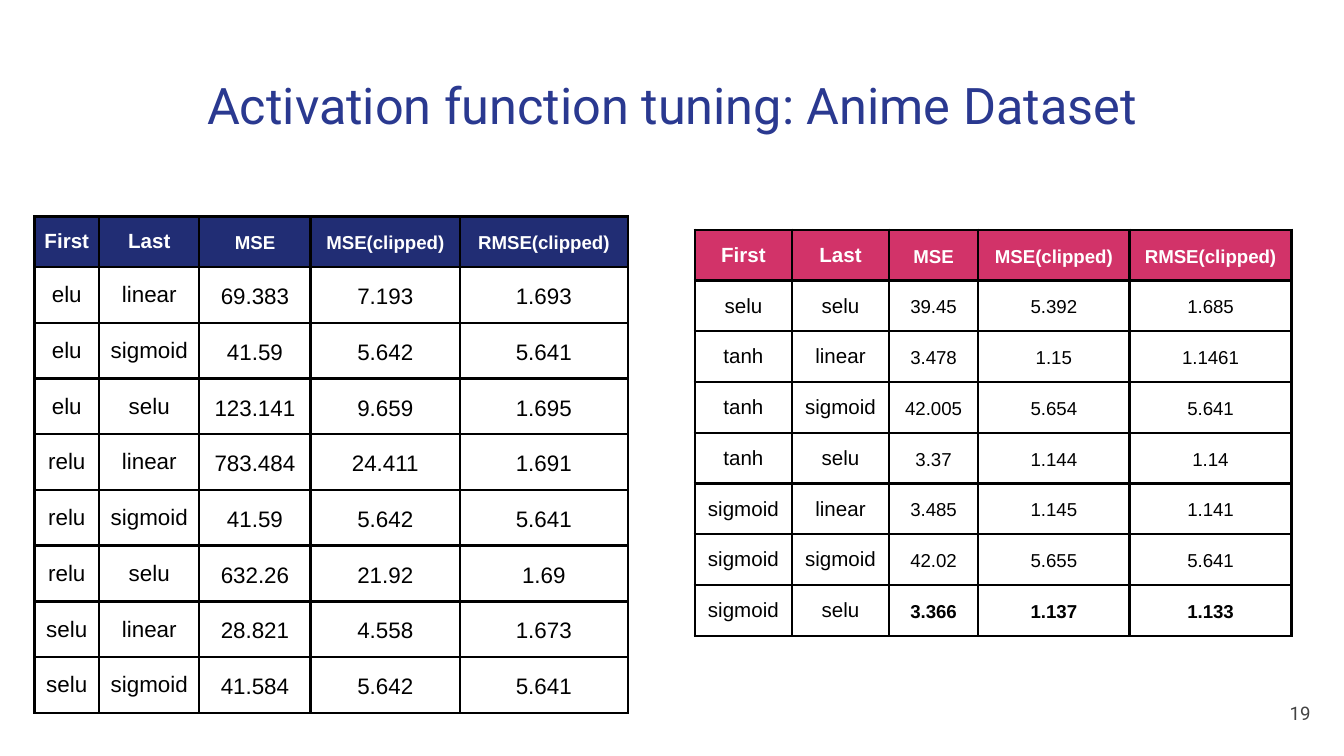
import pptx
import pptx.util
import pptx.dml.color
import pptx.enum.text
import pptx.oxml
import pptx.oxml.ns

Pt = pptx.util.Pt
RGB = pptx.dml.color.RGBColor
ALIGN = pptx.enum.text.PP_ALIGN
ANCHOR = pptx.enum.text.MSO_ANCHOR

BLUE = RGB(0x2A, 0x39, 0x90)
NAVY = RGB(0x21, 0x2D, 0x74)
PINK = RGB(0xD2, 0x33, 0x69)
GRAY = RGB(0x43, 0x43, 0x43)
WHITE = RGB(0xFF, 0xFF, 0xFF)
BLACK = RGB(0, 0, 0)

# Content
TITLE = "Activation function tuning: Anime Dataset"
PAGE = "19"
HEAD = ("First", "Last", "MSE", "MSE(clipped)", "RMSE(clipped)")
NAMES = 2  # leading columns that hold function names
HEAD_SIZES = (11, 10)  # name columns, number columns
HEAD_HIGH = 27.2

TABLES = [
    dict(
        left=18.4, top=115.9, fill=NAVY, sizes=(12, 12), high=29.85, best=None,
        cols=(34.8, 53.6, 59.7, 79.9, 90),
        rows=[
            ("elu", "linear", "69.383", "7.193", "1.693"),
            ("elu", "sigmoid", "41.59", "5.642", "5.641"),
            ("elu", "selu", "123.141", "9.659", "1.695"),
            ("relu", "linear", "783.484", "24.411", "1.691"),
            ("relu", "sigmoid", "41.59", "5.642", "5.641"),
            ("relu", "selu", "632.26", "21.92", "1.69"),
            ("selu", "linear", "28.821", "4.558", "1.673"),
            ("selu", "sigmoid", "41.584", "5.642", "5.641"),
        ],
    ),
    dict(
        left=372.3, top=123.1, fill=PINK, sizes=(11, 10), high=27.2, best=7,
        cols=(52, 52, 47.7, 81.2, 86.7),
        rows=[
            ("selu", "selu", "39.45", "5.392", "1.685"),
            ("tanh", "linear", "3.478", "1.15", "1.1461"),
            ("tanh", "sigmoid", "42.005", "5.654", "5.641"),
            ("tanh", "selu", "3.37", "1.144", "1.14"),
            ("sigmoid", "linear", "3.485", "1.145", "1.141"),
            ("sigmoid", "sigmoid", "42.02", "5.655", "5.641"),
            ("sigmoid", "selu", "3.366", "1.137", "1.133"),
        ],
    ),
]


def style(para, size, face, color, align, bold=False):
    para.alignment = align
    font = para.font
    font.size, font.name, font.bold = Pt(size), face, bold
    font.color.rgb = color


def add_text(slide, box, text, size, color, align, anchor):
    frame = slide.shapes.add_textbox(*map(Pt, box)).text_frame
    frame.word_wrap = True
    frame.vertical_anchor = anchor
    frame.margin_left = frame.margin_right = Pt(7.2)
    frame.margin_top = frame.margin_bottom = Pt(7.2)
    frame.text = text
    style(frame.paragraphs[0], size, "Roboto", color, align)


def add_edges(cell):
    props = cell._tc.get_or_add_tcPr()
    for side in "LRTB":
        props.append(pptx.oxml.parse_xml(
            f'<a:ln{side} {pptx.oxml.ns.nsdecls("a")} w="{Pt(1.5)}">'
            f'<a:solidFill><a:srgbClr val="{BLACK}"/></a:solidFill></a:ln{side}>'))


def add_grid(slide, data):
    rows = [HEAD] + data["rows"]
    highs = [HEAD_HIGH] + [data["high"]] * len(data["rows"])
    table = slide.shapes.add_table(
        len(rows), len(HEAD), Pt(data["left"]), Pt(data["top"]),
        Pt(sum(data["cols"])), Pt(sum(highs))).table
    table.first_row = table.horz_banding = False
    for col, wide in zip(table.columns, data["cols"]):
        col.width = Pt(wide)
    for r, (row, high) in enumerate(zip(rows, highs)):
        table.rows[r].height = Pt(high)
        top = r == 0
        for c, text in enumerate(row):
            cell = table.cell(r, c)
            number = c >= NAMES
            cell.margin_left = cell.margin_right = Pt(7.2 if number else 5)
            cell.margin_top = cell.margin_bottom = Pt(6.5 if number else 5)
            cell.vertical_anchor = ANCHOR.MIDDLE
            add_edges(cell)
            if top:
                cell.fill.solid()
                cell.fill.fore_color.rgb = data["fill"]
            else:
                cell.fill.background()
            cell.text = text
            para = cell.text_frame.paragraphs[0]
            if number:
                para.line_spacing = 1.15
            size = (HEAD_SIZES if top else data["sizes"])[number]
            bold = top or (number and r == data["best"])
            style(para, size, "Arial", WHITE if top else BLACK, ALIGN.CENTER, bold)


deck = pptx.Presentation()
deck.slide_width, deck.slide_height = Pt(720), Pt(405)
slide = deck.slides.add_slide(deck.slide_layouts[6])

# Title and page number
add_text(slide, (24.5, 32.4, 671, 47.5), TITLE, 27, BLUE, ALIGN.CENTER, ANCHOR.TOP)
add_text(slide, (666, 366.5, 43.2, 31), PAGE, 10, GRAY, ALIGN.RIGHT, ANCHOR.MIDDLE)

# Result tables
for data in TABLES:
    add_grid(slide, data)

deck.save("out.pptx")
